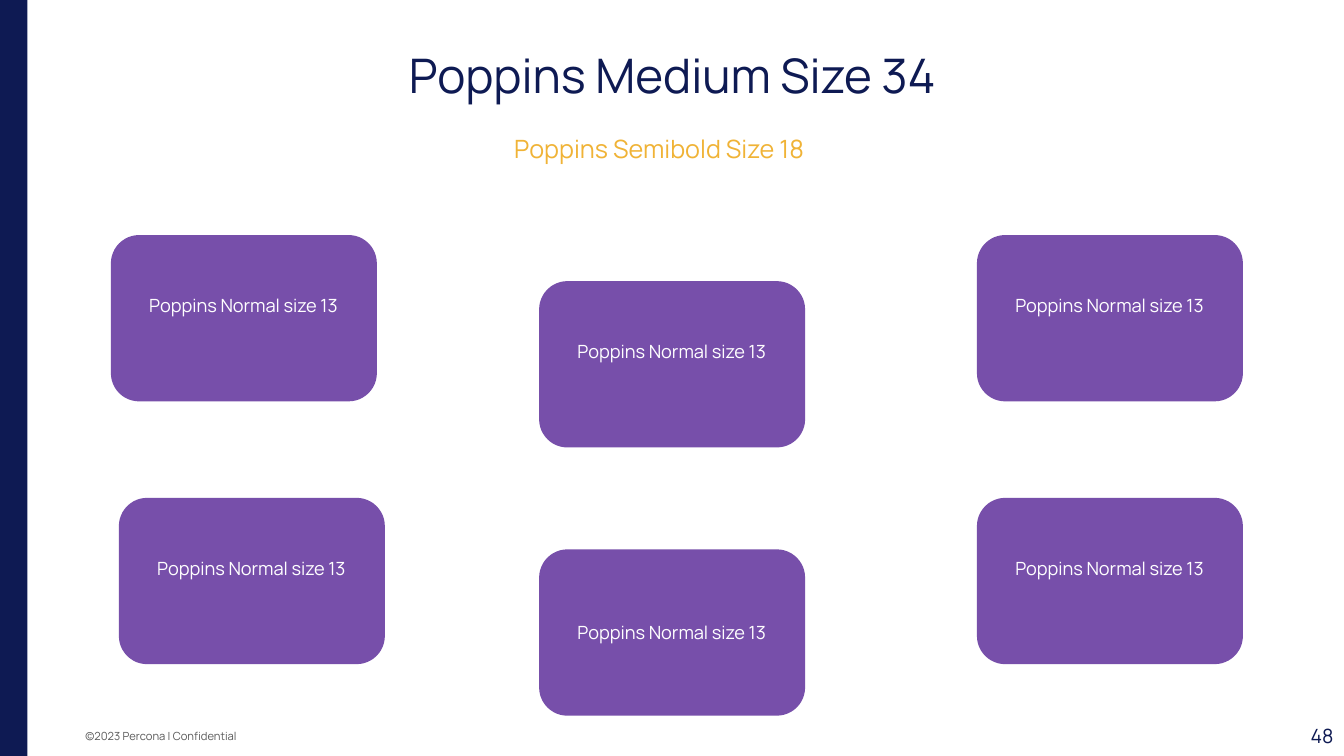
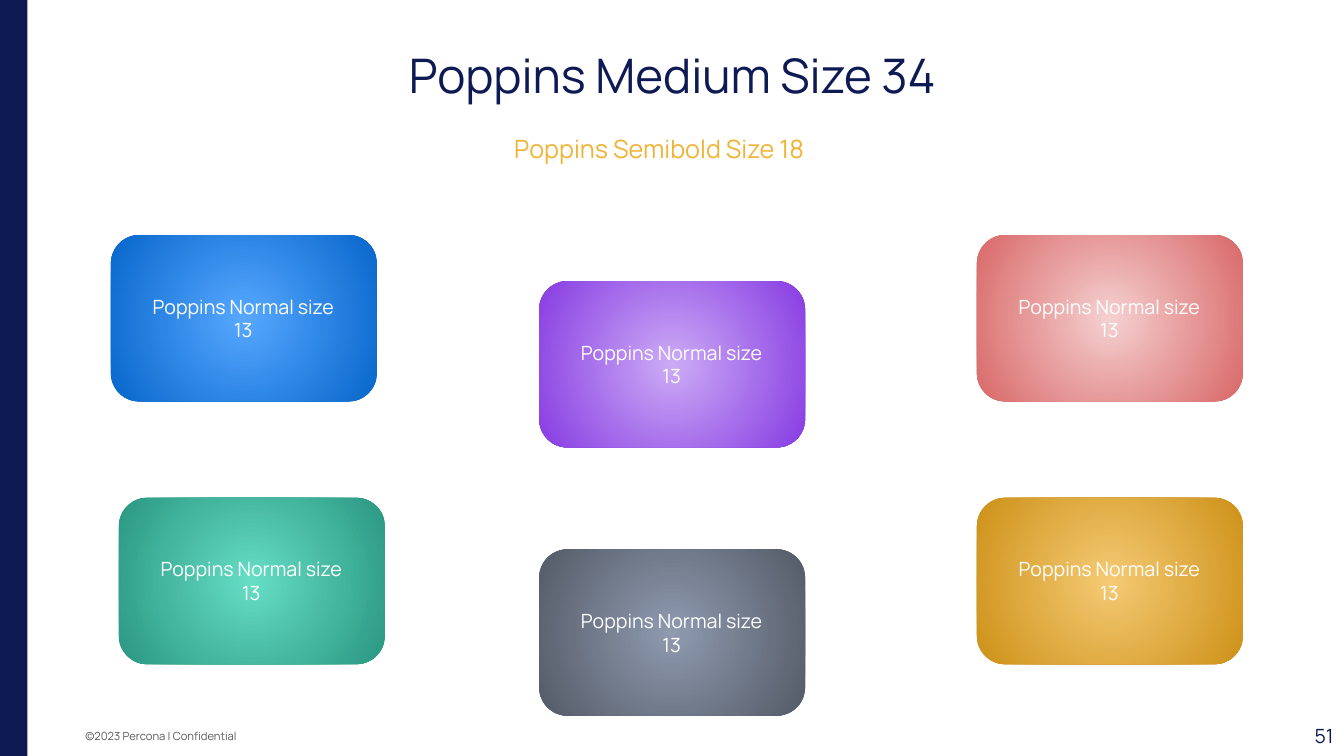
"""Build two card-layout slides, one with flat fills and one with radial gradients."""
from dataclasses import dataclass

import lxml.etree
import pptx
import pptx.dml.color
import pptx.enum.shapes
import pptx.enum.text
import pptx.oxml
import pptx.oxml.ns
import pptx.presentation
import pptx.shapes.autoshape
import pptx.slide
import pptx.text.text
import pptx.util

Pt = pptx.util.Pt
ALIGN = pptx.enum.text.PP_ALIGN
ANCHOR = pptx.enum.text.MSO_ANCHOR
AUTO = pptx.enum.text.MSO_AUTO_SIZE
SHAPE = pptx.enum.shapes.MSO_SHAPE

FONT = "Manrope"
COLORS = {
    "navy": "0E1A53", "gold": "F0B336", "gray": "595959", "white": "FFFFFF",
    "card": "774FAA",
    "blue_in": "56A8FF", "blue_out": "0866CB",
    "green_in": "66DDC5", "green_out": "2A9781",
    "red_in": "F5D0D0", "red_out": "D96868",
    "amber_in": "F5CA74", "amber_out": "CD9118",
    "violet_in": "CCABF6", "violet_out": "873CE2",
    "slate_in": "8F9AAF", "slate_out": "545B67",
}
CARD_W, CARD_H = 190, 118.8
LABEL_DX, LABEL_DY, LABEL_W, LABEL_H = 15.8, 35.3, 157.7, 48.2


@dataclass(frozen=True)
class Box:
    """Rectangle in points."""
    left: float
    top: float
    width: float
    height: float

    def lengths(self) -> tuple[pptx.util.Length, ...]:
        """Return the four lengths in slide units."""
        return Pt(self.left), Pt(self.top), Pt(self.width), Pt(self.height)


@dataclass(frozen=True)
class Style:
    """Look of a one-line text."""
    size: float
    color: str
    align: ALIGN = ALIGN.CENTER
    anchor: ANCHOR = ANCHOR.TOP
    inset_y: float = 7.2
    line_spacing: float = 1.0


@dataclass(frozen=True)
class Card:
    """Place of a card, its gradient hue and its label anchor."""
    left: float
    top: float
    hue: str
    anchor: ANCHOR = ANCHOR.TOP


@dataclass(frozen=True)
class Page:
    """What differs between the slides."""
    number: str
    label_size: float
    gradient: bool


TITLE = Style(34, "navy", anchor=ANCHOR.MIDDLE, inset_y=3.6, line_spacing=0.9)
SUBTITLE = Style(18, "gold")
FOOTER = Style(8, "gray", ALIGN.LEFT, ANCHOR.MIDDLE)
NUMBER = Style(14, "navy", ALIGN.RIGHT, ANCHOR.MIDDLE, 3.6)

CARDS = [
    Card(79.2, 167.9, "blue"),
    Card(84.9, 355.6, "green"),
    Card(697.8, 167.9, "red"),
    Card(697.8, 355.6, "amber"),
    Card(385.1, 200.8, "violet"),
    Card(385.1, 392.4, "slate", ANCHOR.MIDDLE),
]
PAGES = [Page("48", 13, False), Page("51", 14, True)]


def rgb(name: str) -> pptx.dml.color.RGBColor:
    """Look up a named colour."""
    return pptx.dml.color.RGBColor.from_string(COLORS[name])


def write(tf: pptx.text.text.TextFrame, text: str, style: Style) -> None:
    """Fill a text frame with one styled run."""
    tf.word_wrap = True
    tf.auto_size = AUTO.NONE
    tf.vertical_anchor = style.anchor
    tf.margin_left = tf.margin_right = Pt(7.2)
    tf.margin_top = tf.margin_bottom = Pt(style.inset_y)
    p = tf.paragraphs[0]
    p.alignment = style.align
    p.line_spacing = style.line_spacing
    r = p.add_run()
    r.text = text
    r.font.name = FONT
    r.font.size = Pt(style.size)
    r.font.color.rgb = rgb(style.color)


def add_text(s: pptx.slide.Slide, box: Box, text: str, style: Style) -> None:
    """Add a text box."""
    write(s.shapes.add_textbox(*box.lengths()).text_frame, text, style)


def add_block(s: pptx.slide.Slide, kind: SHAPE, box: Box,
              color: str) -> pptx.shapes.autoshape.Shape:
    """Add a flat shape without line or shadow."""
    sp = s.shapes.add_shape(kind, *box.lengths())
    sp.shadow.inherit = False
    sp.line.fill.background()
    sp.fill.solid()
    sp.fill.fore_color.rgb = rgb(color)
    return sp


def set_radial(sp: pptx.shapes.autoshape.Shape, hue: str) -> None:
    """Give a shape a gradient running outwards from its centre."""
    sp.fill.gradient()
    for stop, end in zip(sp.fill.gradient_stops, ("in", "out")):
        stop.color.rgb = rgb(f"{hue}_{end}")
    qn = pptx.oxml.ns.qn
    grad = sp.element.spPr.find(qn("a:gradFill"))
    grad.remove(grad.find(qn("a:lin")))
    circle = lxml.etree.SubElement(grad, qn("a:path"), {"path": "circle"})
    lxml.etree.SubElement(circle, qn("a:fillToRect"),
                          {side: "50000" for side in "ltrb"})


def add_frame(s: pptx.slide.Slide, number: str) -> None:
    """Add the side band, footer, page number and headings."""
    add_block(s, SHAPE.RECTANGLE, Box(0, 0, 19.6, 540), "navy")
    add_text(s, Box(54, 515.5, 350.6, 20.9), "©2023 Percona | Confidential", FOOTER)
    add_text(s, Box(839.5, 511.2, 120.2, 28.8), number, NUMBER)
    title = s.shapes.title
    title.left, title.top, title.width, title.height = Box(82.8, 21.6, 794.9, 67.7).lengths()
    write(title.text_frame, "Poppins Medium Size 34", TITLE)
    add_text(s, Box(105.8, 87.8, 730.1, 36), "Poppins Semibold Size 18", SUBTITLE)


def add_card(s: pptx.slide.Slide, card: Card, page: Page) -> None:
    """Add a rounded card and its label."""
    sp = add_block(s, SHAPE.ROUNDED_RECTANGLE,
                   Box(card.left, card.top, CARD_W, CARD_H), "card")
    sp.adjustments[0] = 0.17
    if page.gradient:
        set_radial(sp, card.hue)
    label = Box(card.left + LABEL_DX, card.top + LABEL_DY, LABEL_W, LABEL_H)
    add_text(s, label, "Poppins Normal size 13",
             Style(page.label_size, "white", anchor=card.anchor))


def add_page(prs: pptx.presentation.Presentation, page: Page) -> None:
    """Add one slide."""
    s = prs.slides.add_slide(prs.slide_layouts.get_by_name("Title Only"))
    add_frame(s, page.number)
    for card in CARDS:
        add_card(s, card, page)


def main() -> None:
    """Build and save the presentation."""
    prs = pptx.Presentation()
    prs.slide_width, prs.slide_height = Pt(960), Pt(540)
    for page in PAGES:
        add_page(prs, page)
    prs.save("out.pptx")


if __name__ == "__main__":
    main()
